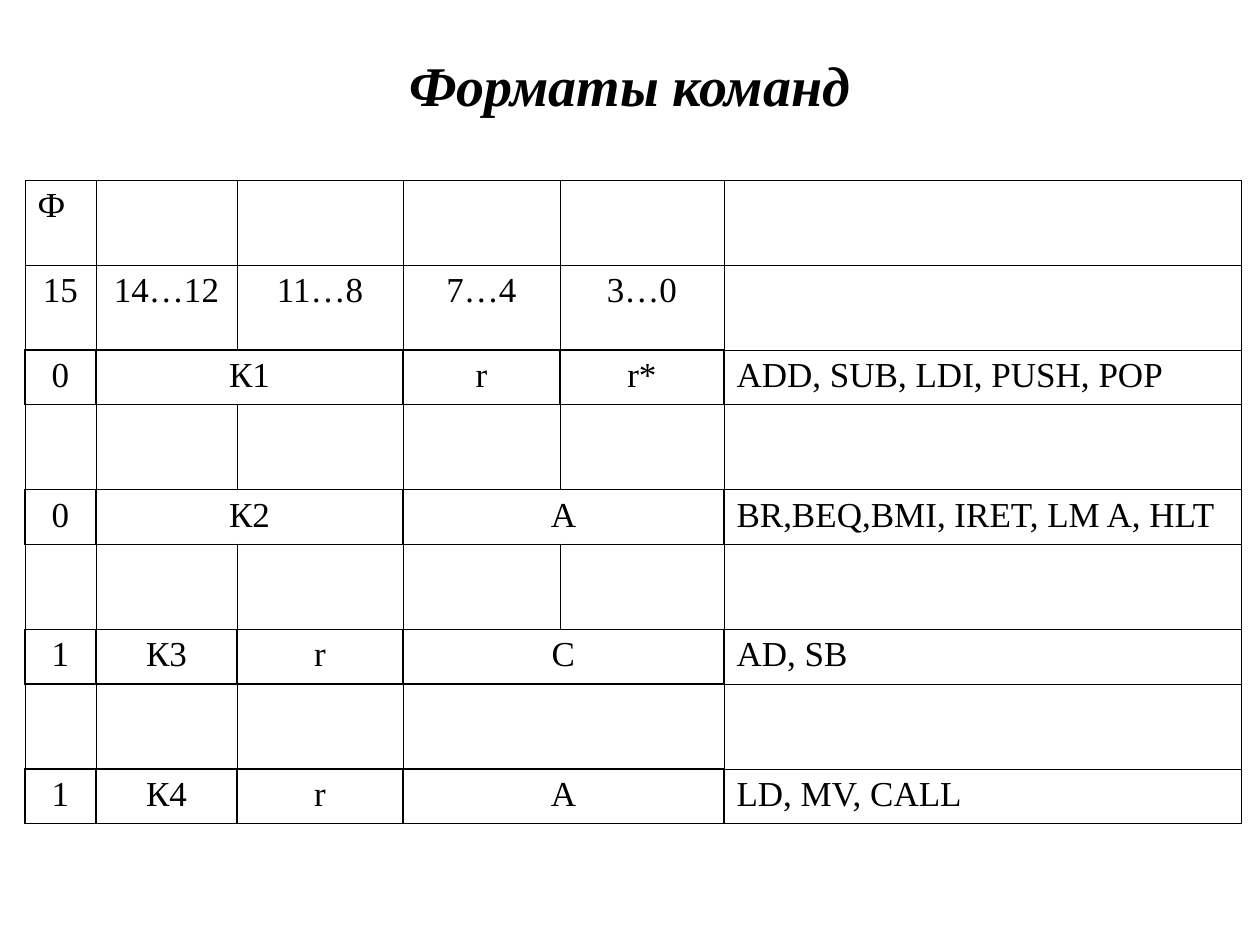
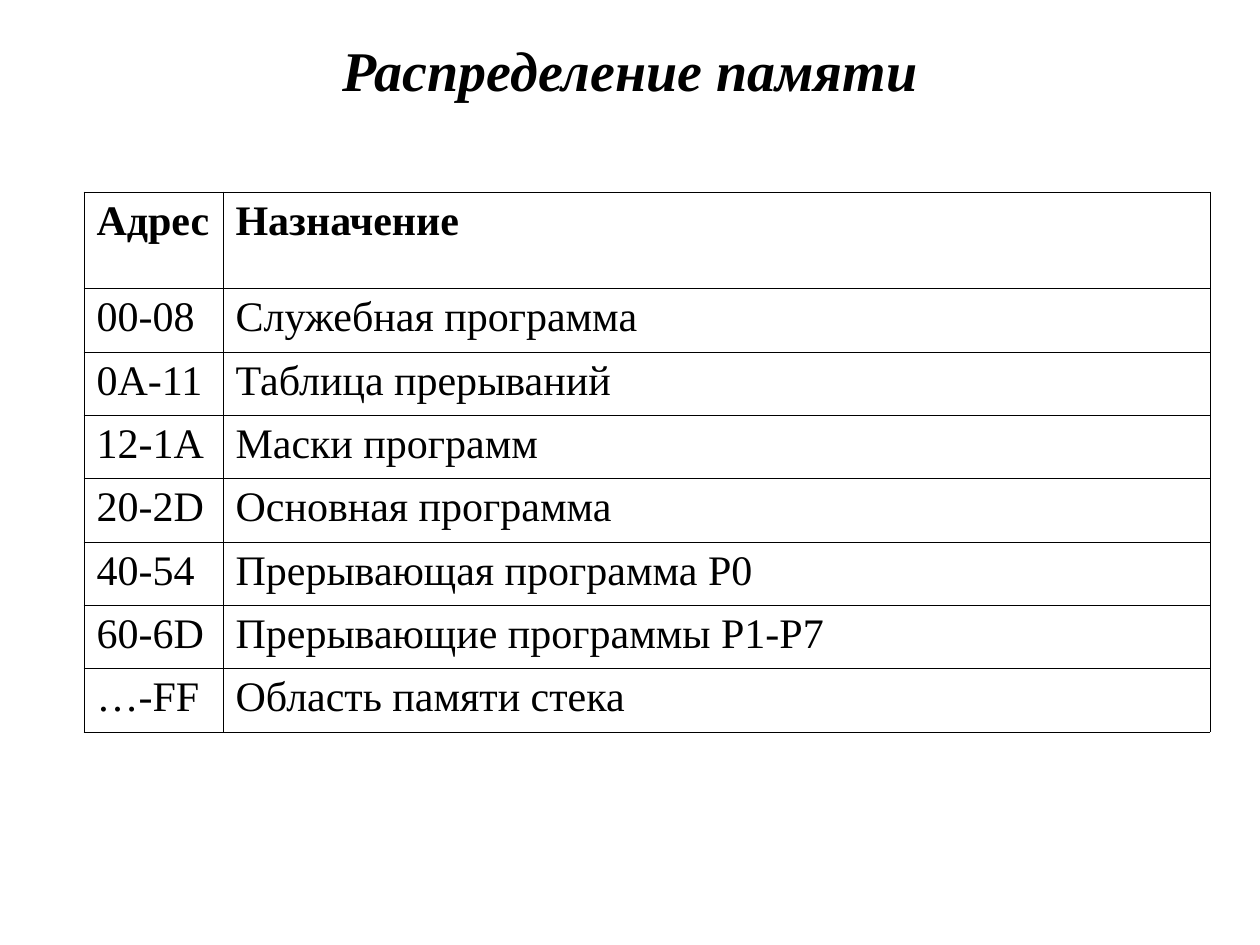
from lxml.etree import SubElement
from pptx import Presentation
from pptx.dml.color import RGBColor
from pptx.enum.text import MSO_ANCHOR as Anchor, PP_ALIGN as Align
from pptx.oxml.ns import qn
from pptx.util import Emu, Pt

PX = 914400 / 126
COLORS = {"text": "000000", "border": "000000", "page": "FFFFFF"}
FONT = "Times New Roman"
HAIR, THIN, THICK = 0.34, 0.45, 0.96

# None continues the cell to its left
FORMAT_ROWS = [
    ["Ф", "", "", "", "", ""],
    ["15", "14…12", "11…8", "7…4", "3…0", ""],
    ["0", "К1", None, "r", "r*", "ADD, SUB, LDI, PUSH, POP"],
    ["", "", "", "", "", ""],
    ["0", "К2", None, "A", None, "BR,BEQ,BMI, IRET, LM A, HLT"],
    ["", "", "", "", "", ""],
    ["1", "К3", "r", "C", None, "AD, SB"],
    ["", "", "", "", None, ""],
    ["1", "К4", "r", "A", None, "LD, MV, CALL"],
]
MEMORY_ROWS = [
    ["Адрес", "Назначение"],
    ["00-08", "Служебная программа"],
    ["0A-11", "Таблица прерываний"],
    ["12-1А", "Маски программ"],
    ["20-2D", "Основная программа"],
    ["40-54", "Прерывающая программа Р0"],
    ["60-6D", "Прерывающие программы Р1-Р7"],
    ["…-FF", "Область памяти стека"],
]


def px(length):
    return Emu(round(length * PX))


class Deck:
    """Holds the shared style and the page being filled."""

    def __init__(self):
        self.show = Presentation()
        self.show.slide_width, self.show.slide_height = px(1260), px(945)
        self.page = None

    def add_page(self):
        self.page = self.show.slides.add_slide(self.show.slide_layouts[6])
        fill = self.page.background.fill
        fill.solid()
        fill.fore_color.rgb = RGBColor.from_string(COLORS["page"])

    def set_text(self, frame, text, size, align, bold=False, italic=False):
        para = frame.paragraphs[0]
        para.text, para.alignment = text, align
        font = para.font
        font.name, font.size, font.bold, font.italic = FONT, Pt(size), bold, italic
        font.color.rgb = RGBColor.from_string(COLORS["text"])

    def title(self, text, left, top, width, height):
        box = self.page.shapes.add_textbox(px(left), px(top), px(width), px(height))
        frame = box.text_frame
        frame.word_wrap = True
        frame.vertical_anchor = Anchor.MIDDLE
        self.set_text(frame, text, 32, Align.CENTER, bold=True, italic=True)

    def borders(self, cell, widths):
        """Draw the left, right, top and bottom edges, in points."""
        properties = cell._tc.get_or_add_tcPr()
        for side, width in zip("LRTB", widths):
            line = SubElement(properties, qn(f"a:ln{side}"), w=str(Pt(width)))
            fill = SubElement(line, qn("a:solidFill"))
            SubElement(fill, qn("a:srgbClr"), val=COLORS["border"])

    def table(self, rows, left, top, widths, heights, size, align_of, borders_of,
              bold_header=False):
        """align_of and borders_of take a row and a column number."""
        grid = self.page.shapes.add_table(
            len(rows), len(widths), px(left), px(top),
            px(sum(widths)), px(sum(heights))).table
        grid.first_row = grid.horz_banding = False
        for column, width in zip(grid.columns, widths):
            column.width = px(width)
        for line, height in zip(grid.rows, heights):
            line.height = px(height)
        for r, texts in enumerate(rows):
            for c, text in enumerate(texts):
                cell = grid.cell(r, c)
                self.borders(cell, borders_of(r, c))
                cell.fill.background()
                if text is None:
                    grid.cell(r, c - 1).merge(cell)
                elif text:
                    self.set_text(cell.text_frame, text, size, align_of(r, c),
                                  bold=bold_header and r == 0)


def is_format(r):
    return r >= 2 and r % 2 == 0


def format_align(r, c):
    if c == 5:
        return Align.LEFT
    return Align.CENTER if r else Align.JUSTIFY


def format_borders(r, c):
    """Command formats get thick frames, everything around them thin ones."""
    if c == 5:
        left = THICK if is_format(r) else THIN if r else HAIR
        return left, HAIR, HAIR, HAIR
    if r == 0:
        return HAIR, HAIR, HAIR, THIN
    if r == 1:
        return THIN, THIN, THIN, THICK
    side = THICK if is_format(r) else THIN
    return side, side, THICK, THICK


def memory_align(r, c):
    return Align.LEFT if r and c else Align.JUSTIFY


def memory_borders(r, c):
    return (THIN,) * 4


def main():
    deck = Deck()

    deck.add_page()
    deck.title("Форматы команд", 63, 38, 1134, 92)
    heights = [54 if is_format(r) else 85 for r in range(len(FORMAT_ROWS))]
    deck.table(FORMAT_ROWS, 25, 180, [71, 141, 166, 157, 164, 517], heights,
               20, format_align, format_borders)

    deck.add_page()
    deck.title("Распределение памяти", 25, 21, 1211, 97)
    deck.table(MEMORY_ROWS, 84, 192, [139, 987], [96, 64, 63, 63, 64, 63, 63, 64],
               24, memory_align, memory_borders, bold_header=True)

    deck.show.save("out.pptx")


if __name__ == "__main__":
    main()
